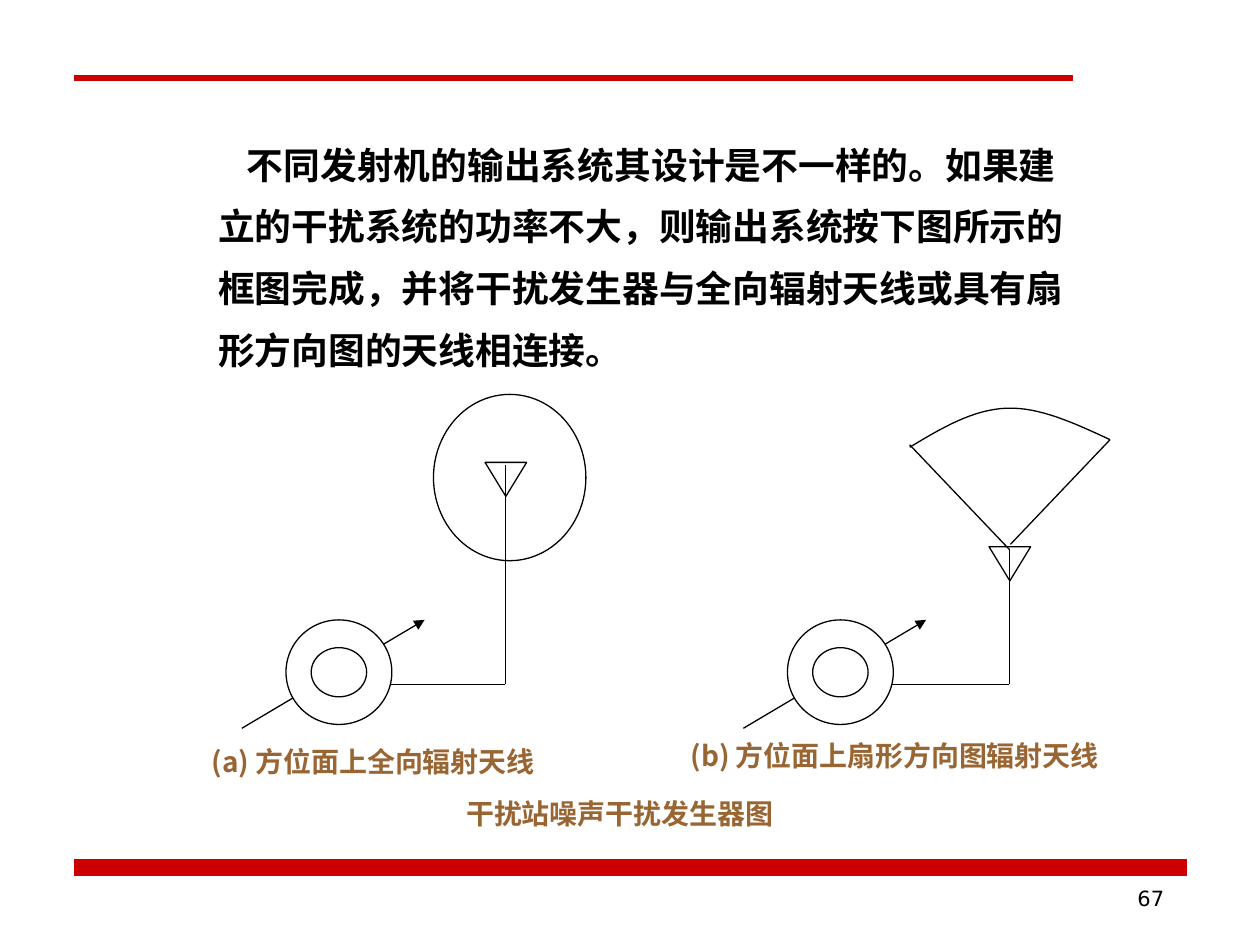
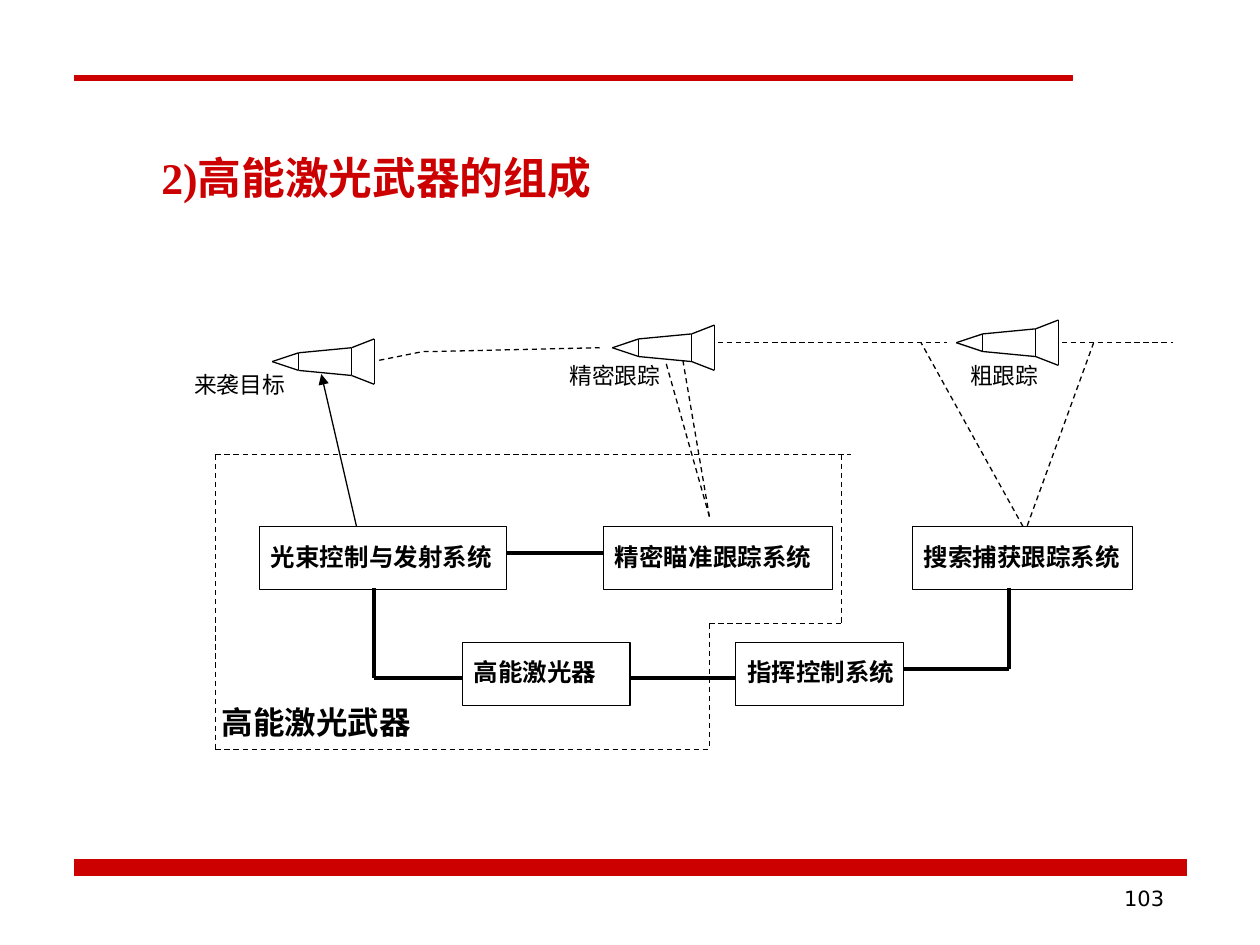
import pptx
import pptx.util
import pptx.dml.color
import pptx.enum.dml
import pptx.enum.shapes
import pptx.enum.text
import pptx.oxml.ns
import lxml.etree

Inches = pptx.util.Inches
SHAPE = pptx.enum.shapes.MSO_SHAPE
STRAIGHT = pptx.enum.shapes.MSO_CONNECTOR.STRAIGHT
ANCHOR = pptx.enum.text.MSO_ANCHOR
ALIGN = pptx.enum.text.PP_ALIGN
qn = pptx.oxml.ns.qn
rgb = pptx.dml.color.RGBColor.from_string

BLACK, WHITE, RED, BROWN = "000000", "FFFFFF", "CC0000", "996633"
SANS, SERIF, NUMBER = "Noto Sans CJK SC", "Times New Roman", "DejaVu Sans"


def style(sp, color=BLACK, width=0.75, fill=None, dash=False, arrow=False):
    """Set the line, fill and arrowhead of a shape or connector, without shadow."""
    sp.line.color.rgb = rgb(color)
    sp.line.width = pptx.util.Pt(width)
    if dash:
        sp.line.dash_style = pptx.enum.dml.MSO_LINE.DASH
    spPr = sp.element.spPr
    if arrow:
        lxml.etree.SubElement(spPr.find(qn("a:ln")), qn("a:tailEnd"), type="triangle")
    if not hasattr(sp, "fill"):
        lxml.etree.SubElement(spPr, qn("a:effectLst"))
        return
    sp.shadow.inherit = False
    if fill:
        sp.fill.solid()
        sp.fill.fore_color.rgb = rgb(fill)
    else:
        sp.fill.background()


def write(sp, text, size, font=SERIF, color=BLACK, bold=True,
          align=ALIGN.LEFT, anchor=ANCHOR.TOP):
    tf = sp.text_frame
    tf.word_wrap = True
    tf.auto_size = pptx.enum.text.MSO_AUTO_SIZE.NONE
    tf.vertical_anchor = anchor
    tf.margin_left, tf.margin_right = Inches(0.09), 0
    tf.margin_top, tf.margin_bottom = Inches(0.04), Inches(0.07)
    p = tf.paragraphs[0]
    p.alignment = align
    p.space_before = pptx.util.Pt(0)
    r = p.add_run()
    r.text = text
    r.font.size = pptx.util.Pt(size)
    r.font.name = font
    r.font.bold = bold
    r.font.color.rgb = rgb(color)
    lxml.etree.SubElement(r.font._element, qn("a:ea"), typeface=SANS)
    return p


prs = pptx.Presentation()
prs.slide_width, prs.slide_height = Inches(10), Inches(7.5)
antennas = prs.slides.add_slide(prs.slide_layouts[1])
laser = prs.slides.add_slide(prs.slide_layouts[5])

# Shared red bands and rule, moved to the master
shared = []
for x, y, w, h, width in [(0.59, 6.82, 8.83, 0.13, 0.75), (0.59, 0.6, 7.92, 0.04, 0.5)]:
    sp = antennas.shapes.add_shape(SHAPE.RECTANGLE, Inches(x), Inches(y), Inches(w), Inches(h))
    style(sp, RED, width, fill=RED)
    shared.append(sp)
sp = antennas.shapes.add_connector(STRAIGHT, Inches(0.67), Inches(6.9), Inches(9.33), Inches(6.9))
style(sp, RED, 0.25)
shared.append(sp)
for number, sp in enumerate(shared, 101):
    sp.element.xpath(".//p:cNvPr")[0].set("id", str(number))
    prs.slide_master.shapes.element.append(sp.element)

for s, page in [(antennas, "67"), (laser, "103")]:
    sp = s.shapes.add_textbox(Inches(7.17), Inches(6.99), Inches(2.07), Inches(0.4))
    write(sp, page, 12, NUMBER, bold=False, align=ALIGN.RIGHT)

# Slide 1: jammer with an omnidirectional and a sector antenna
s = antennas
title = s.shapes.title
title.element.getparent().remove(title.element)
body = s.placeholders[1]
body.left, body.top, body.width, body.height = [Inches(v) for v in (1.64, 0.95, 6.95, 2.05)]
p = write(body, "不同发射机的输出系统其设计是不一样的。如果建立的干扰系统的功率不大，"
          "则输出系统按下图所示的框图完成，并将干扰发生器与全向辐射天线或具有扇形方向图的天线相连接。",
          21, SANS)
p.line_spacing = 1.4
pPr = p._p.get_or_add_pPr()
pPr.set("marL", "0")
pPr.set("indent", str(Inches(0.23)))
lxml.etree.SubElement(pPr, qn("a:buNone"))

# Left edge of the generator, antenna mast and height of the mast's top
for x, mast, top in [(1.92, 4.01, 3.69), (5.9, 8.01, 4.36)]:
    wires = [
        (x, 5.78, x + 1.45, 4.92, True),
        (x + 1.17, 5.43, mast, 5.43, False),
        (mast, 5.43, mast, top, False),
    ]
    for x1, y1, x2, y2, arrow in wires:
        sp = s.shapes.add_connector(STRAIGHT, Inches(x1), Inches(y1), Inches(x2), Inches(y2))
        style(sp, arrow=arrow)
    parts = [
        (SHAPE.OVAL, x + 0.35, 4.92, 0.84, 0.83, WHITE),
        (SHAPE.OVAL, x + 0.55, 5.14, 0.44, 0.39, WHITE),
        (SHAPE.FLOWCHART_MERGE, mast - 0.16, top - 0.02, 0.33, 0.27, None),
    ]
    for kind, left, y, w, h, fill in parts:
        sp = s.shapes.add_shape(kind, Inches(left), Inches(y), Inches(w), Inches(h))
        style(sp, fill=fill)

sp = s.shapes.add_shape(SHAPE.OVAL, Inches(3.44), Inches(3.13), Inches(1.21), Inches(1.32))
style(sp)
for x1, y1, x2, y2 in [(8.01, 4.36, 7.22, 3.53), (8.02, 4.32, 8.81, 3.49)]:
    sp = s.shapes.add_connector(STRAIGHT, Inches(x1), Inches(y1), Inches(x2), Inches(y2))
    style(sp)

# Sector arc: two Bezier curves sampled in short steps
curves = [
    [(7.22, 3.55), (7.47, 3.4), (7.72, 3.25), (7.99, 3.24)],
    [(7.99, 3.24), (8.25, 3.23), (8.53, 3.36), (8.81, 3.49)],
]
arc = []
for curve in curves:
    for step in range(1, 17):
        t = step / 16
        weights = [(1 - t) ** 3, 3 * t * (1 - t) ** 2, 3 * t * t * (1 - t), t ** 3]
        arc.append([Inches(sum(k * pt[i] for k, pt in zip(weights, curve))) for i in (0, 1)])
fb = s.shapes.build_freeform(Inches(7.22), Inches(3.55))
fb.add_line_segments(arc, close=False)
style(fb.convert_to_shape())

captions = [
    (3.61, 6.28, 3.56, "干扰站噪声干扰发生器图"),
    (1.59, 5.87, 3.03, "(a) 方位面上全向辐射天线"),
    (5.39, 5.82, 3.65, "(b) 方位面上扇形方向图辐射天线"),
]
for x, y, w, text in captions:
    sp = s.shapes.add_textbox(Inches(x), Inches(y), Inches(w), Inches(0.4))
    write(sp, text, 16, SANS, BROWN)

# Slide 2: parts of a laser weapon
s = laser
title = s.shapes.title
title.left, title.top, title.width, title.height = [Inches(v) for v in (1.19, 1.16, 4.06, 0.51)]
write(title, "2)高能激光武器的组成", 25, color=RED)

systems = [
    (2.06, 4.18, 1.96, "光束控制与发射系统"),
    (4.79, 4.18, 1.82, "精密瞄准跟踪系统"),
    (3.67, 5.1, 1.33, "高能激光器"),
    (5.84, 5.1, 1.33, "指挥控制系统"),
    (7.24, 4.18, 1.75, "搜索捕获跟踪系统"),
]
for x, y, w, text in systems:
    sp = s.shapes.add_shape(SHAPE.RECTANGLE, Inches(x), Inches(y), Inches(w), Inches(0.5))
    style(sp)
    write(sp, text, 14, anchor=ANCHOR.MIDDLE)

links = [
    (4.02, 4.39, 4.79, 4.39), (5, 5.38, 5.84, 5.38), (7.17, 5.31, 8.01, 5.31),
    (2.97, 5.38, 3.67, 5.38), (2.97, 4.67, 2.97, 5.38), (8.01, 4.67, 8.01, 5.31),
]
weapon_border = [
    (1.71, 3.61, 6.75, 3.61), (1.71, 5.95, 5.63, 5.95), (1.71, 3.61, 1.71, 5.95),
    (6.68, 3.61, 6.68, 4.95), (5.63, 4.95, 6.68, 4.95), (5.63, 4.95, 5.63, 5.95),
]
sight_lines = [
    (5.63, 4.1, 5.28, 2.86), (5.42, 2.86, 5.63, 4.1),
    (8.12, 4.18, 7.31, 2.72), (8.68, 2.72, 8.15, 4.18),
]
flight_path = [(5.7, 2.72, 7.52, 2.72), (8.43, 2.72, 9.31, 2.72)]
beam = [(2.83, 4.18, 2.55, 2.97)]

# Missiles: from the nose backwards, two sides and a cross line for each section
profile = [(0, 0), (0.21, 0.07), (0.63, 0.11), (0.81, 0.18)]
missiles = []
for x, y in [(2.16, 2.87), (4.86, 2.76), (7.59, 2.72)]:
    for (dx1, dy1), (dx2, dy2) in zip(profile, profile[1:]):
        for side in (-1, 1):
            missiles.append((x + dx1, y + side * dy1, x + dx2, y + side * dy2))
        missiles.append((x + dx2, y - dy2, x + dx2, y + dy2))

line_sets = [
    (links, {"width": 2.25}),
    (weapon_border + sight_lines + flight_path, {"dash": True}),
    (beam, {"arrow": True}),
    (missiles, {}),
]
for lines, look in line_sets:
    for x1, y1, x2, y2 in lines:
        sp = s.shapes.add_connector(STRAIGHT, Inches(x1), Inches(y1), Inches(x2), Inches(y2))
        style(sp, **look)

fb = s.shapes.build_freeform(Inches(3.01), Inches(2.86))
bend = [(3.36, 2.79), (3.46, 2.79), (4.76, 2.76)]
fb.add_line_segments([(Inches(x), Inches(y)) for x, y in bend], close=False)
style(fb.convert_to_shape(), dash=True)

labels = [
    (1.45, 2.9, 1, "来袭目标", 13, False),
    (4.43, 2.83, 1, "精密跟踪", 13, False),
    (7.61, 2.83, 0.9, "粗跟踪", 13, False),
    (1.67, 5.54, 1.8, "高能激光武器", 18, True),
]
for x, y, w, text, size, bold in labels:
    sp = s.shapes.add_textbox(Inches(x), Inches(y), Inches(w), Inches(0.35))
    write(sp, text, size, bold=bold)

prs.save("out.pptx")
